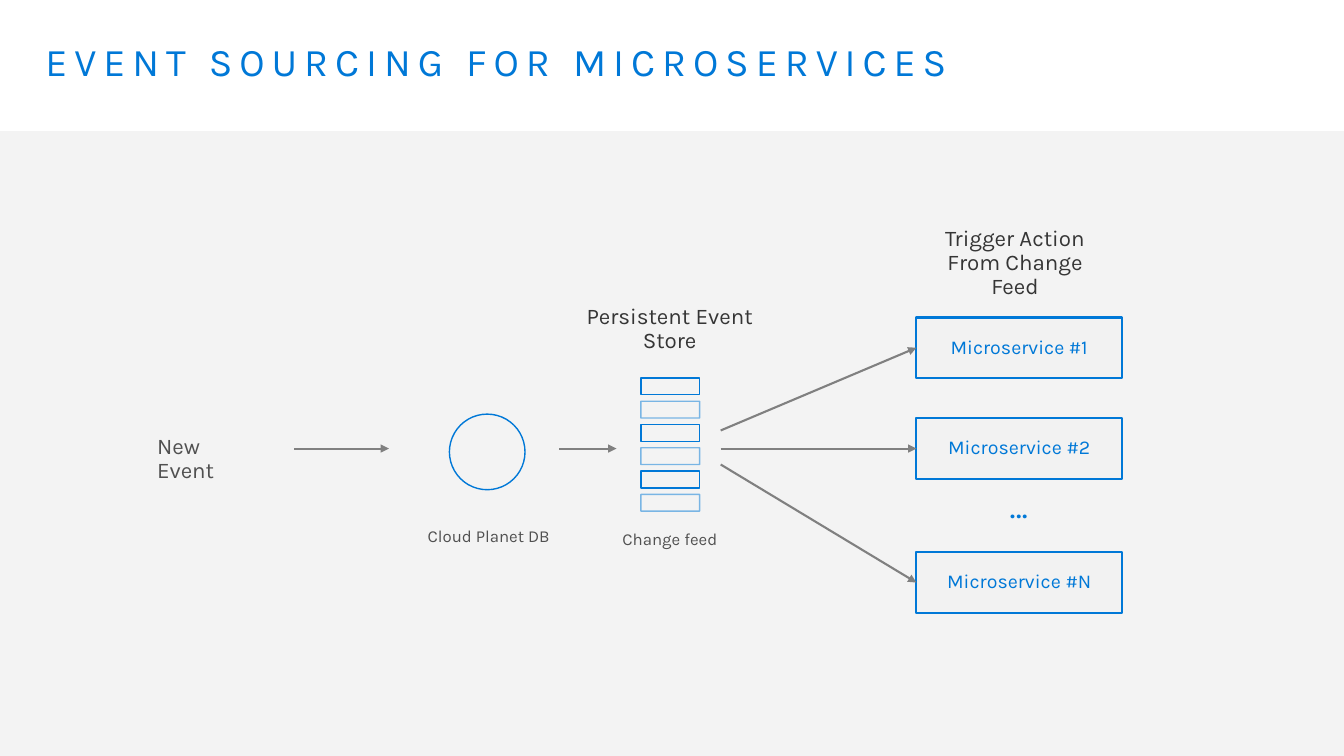
from lxml import etree
from pptx import Presentation, util as u
from pptx.dml.color import RGBColor
from pptx.enum import shapes, text
from pptx.oxml.ns import qn

BLUE = RGBColor(0x00, 0x78, 0xD7)
BAND = RGBColor(0xF2, 0xF2, 0xF2)
DARK = RGBColor(0x35, 0x35, 0x35)
MID = RGBColor(0x50, 0x50, 0x50)
GREY = RGBColor(0x80, 0x80, 0x80)
FONT = "Karla"

COLS, ROWS = 160, 90
SLIDE_W, SLIDE_H = u.Inches(13.333), u.Inches(7.5)
LABEL_INSETS = (0.2, 0.16)
CAPTION_INSETS = (0.1, 0.05)
BOX_LEFT, BOX_W, BOX_H = 109.1, 24.5, 7.2
FLOW_ROW = 53.4


def place(col, row):
    return round(col * SLIDE_W / COLS), round(row * SLIDE_H / ROWS)


def set_alpha(fill, percent):
    color = fill._xPr.find(".//" + qn("a:srgbClr"))
    etree.SubElement(color, qn("a:alpha"), val=str(percent * 1000))


def write(s, words, size, color, insets=LABEL_INSETS, align=text.PP_ALIGN.CENTER,
          spacing=0.9, wrap=True, tracking=0):
    tf = s.text_frame
    tf.word_wrap = wrap
    tf.margin_left = tf.margin_right = u.Inches(insets[0])
    tf.margin_top = tf.margin_bottom = u.Inches(insets[1])
    p = tf.paragraphs[0]
    p.alignment = align
    p.line_spacing = spacing
    r = p.add_run()
    r.text = words
    r.font.name = FONT
    r.font.size = u.Pt(size)
    r.font.color.rgb = color
    if tracking:
        r.font._element.set("spc", str(tracking * 100))


def add_label(slide, box, words, size, color, **style):
    s = slide.shapes.add_textbox(*place(*box[:2]), *place(*box[2:]))
    write(s, words, size, color, **style)


def add_caption(slide, box, words):
    add_label(slide, box, words, 12, MID, insets=CAPTION_INSETS, spacing=1.0)


def add_outline(slide, box, kind=shapes.MSO_SHAPE.RECTANGLE, width=1, fill=None, line=BLUE):
    s = slide.shapes.add_shape(kind, *place(*box[:2]), *place(*box[2:]))
    s.shadow.inherit = False
    if fill is None:
        s.fill.background()
    else:
        s.fill.solid()
        s.fill.fore_color.rgb = fill
    if line is None:
        s.line.fill.background()
    else:
        s.line.width = u.Pt(width)
        s.line.color.rgb = line
    return s


def add_microservice(slide, row, words):
    s = add_outline(slide, (BOX_LEFT, row, BOX_W, BOX_H), width=1.5, fill=BAND)
    s.text_frame.vertical_anchor = text.MSO_ANCHOR.MIDDLE
    write(s, words, 14, BLUE)


def add_arrow(slide, start, end):
    s = slide.shapes.add_connector(shapes.MSO_CONNECTOR.STRAIGHT, *place(*start), *place(*end))
    s.line.width = u.Pt(1.5)
    s.line.color.rgb = GREY
    etree.SubElement(s.line._get_or_add_ln(), qn("a:tailEnd"), type="triangle")
    etree.SubElement(s._element.spPr, qn("a:effectLst"))


def add_change_feed(slide):
    for i in range(6):
        s = add_outline(slide, (76.3, 45 + 2.77 * i, 7, 2))
        if i % 2:
            set_alpha(s.line.fill, 50)


def main():
    prs = Presentation()
    prs.slide_width, prs.slide_height = SLIDE_W, SLIDE_H
    slide = prs.slides.add_slide(prs.slide_layouts[6])

    band = add_outline(slide, (0, 15.6, COLS, ROWS - 15.6), fill=BAND, line=None)
    set_alpha(band.fill, 89)
    add_label(slide, (3.5, 3.85, 153, 11.75), "EVENT SOURCING FOR MICROSERVICES", 28, BLUE,
              insets=(0.16, 0.1), align=text.PP_ALIGN.LEFT, tracking=5)

    add_label(slide, (16.3, 50.4, 17.3, 6.7), "New Event", 16, MID,
              align=text.PP_ALIGN.LEFT, wrap=False)
    add_label(slide, (64.9, 34.45, 29.65, 6.7), "Persistent Event Store", 16, DARK)
    add_label(slide, (107.5, 25.1, 26.65, 9.6), "Trigger Action From Change Feed", 16, DARK)
    add_label(slide, (117.5, 58.3, 7.55, 4.3), "…", 24, BLUE, insets=(0.2, 0), wrap=False)

    add_outline(slide, (53.5, 49.3, 9, 9), shapes.MSO_SHAPE.OVAL)
    add_caption(slide, (45.1, 62.05, 26.15, 3.6), "Cloud Planet DB")
    add_change_feed(slide)
    add_caption(slide, (72.25, 62.3, 15, 3.6), "Change feed")

    for start, end in ((35.05, 46.3), (66.6, 73.4)):
        add_arrow(slide, (start, FLOW_ROW), (end, FLOW_ROW))
    for row, words, start in ((37.8, "Microservice #1", 51.25),
                              (49.8, "Microservice #2", FLOW_ROW),
                              (65.75, "Microservice #N", 55.3)):
        add_microservice(slide, row, words)
        add_arrow(slide, (85.8, start), (BOX_LEFT, row + BOX_H / 2))

    prs.save("out.pptx")


if __name__ == "__main__":
    main()
